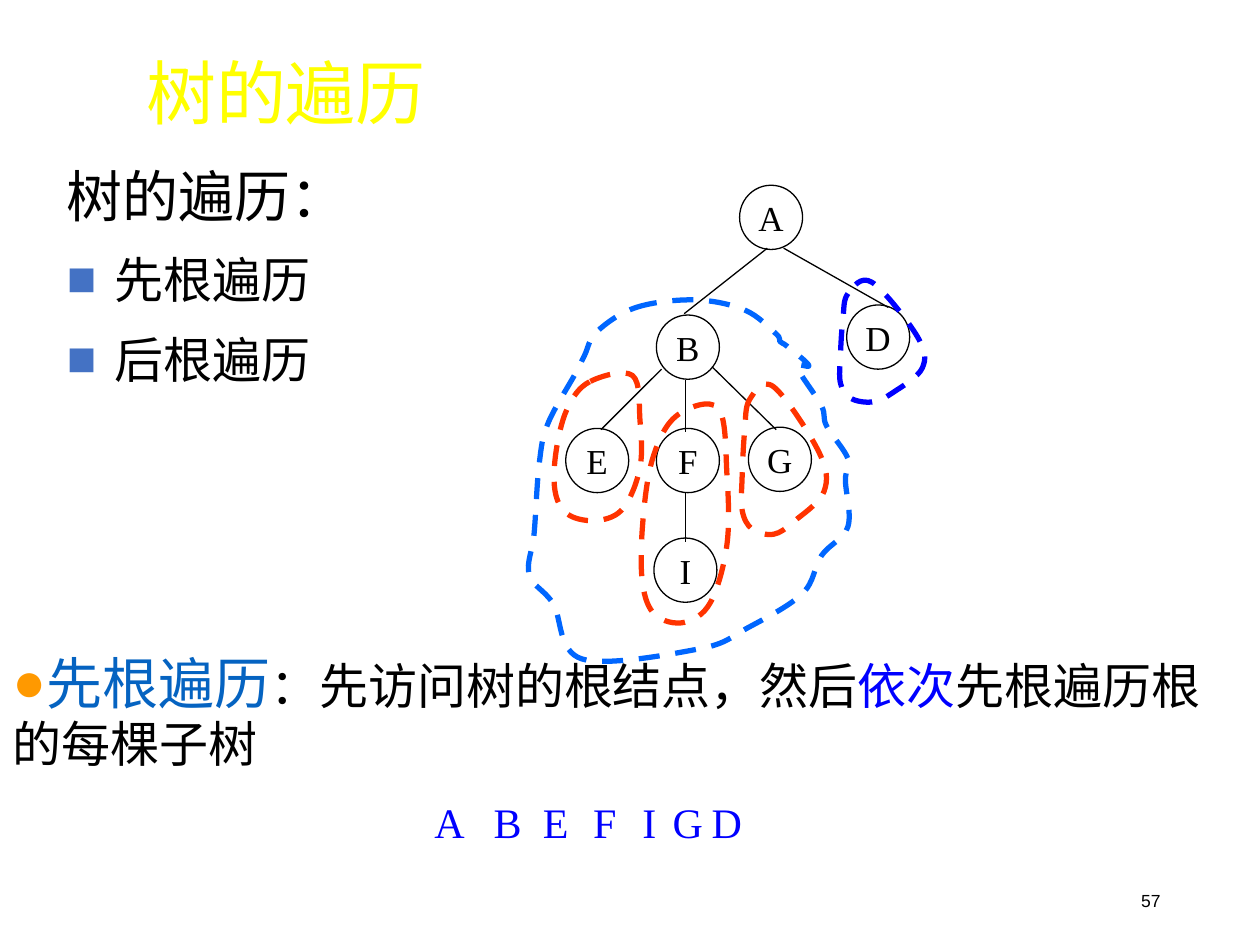
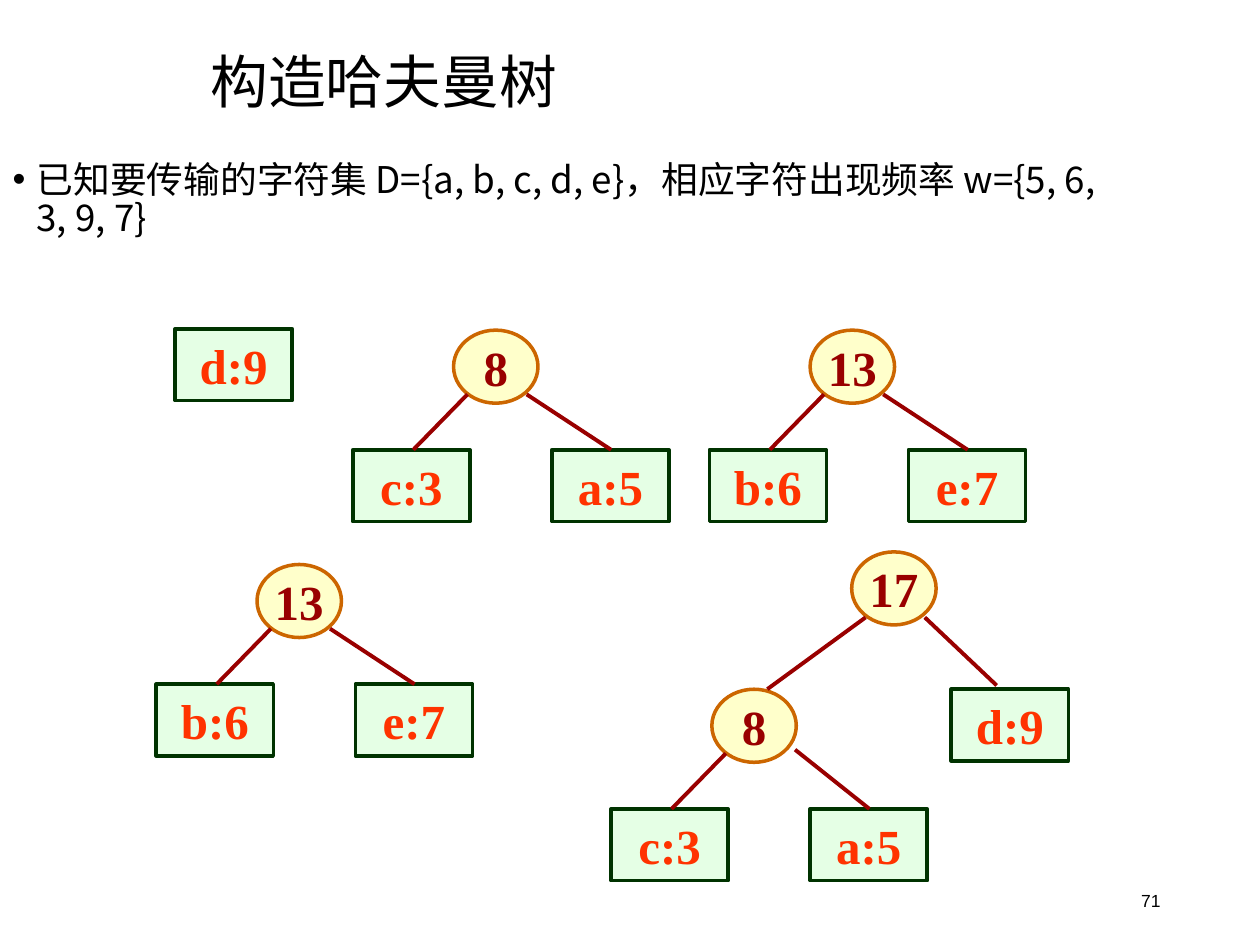
import pptx
import pptx.dml.color
import pptx.enum.shapes
import pptx.enum.dml
import pptx.enum.text
import pptx.oxml.ns
import pptx.util
from lxml import etree

Inches, Pt = pptx.util.Inches, pptx.util.Pt
RGBColor = pptx.dml.color.RGBColor
MSO_SHAPE = pptx.enum.shapes.MSO_SHAPE
ANCHOR = pptx.enum.text.MSO_ANCHOR
ALIGN = pptx.enum.text.PP_ALIGN
qn = pptx.oxml.ns.qn

# Shared look
CJK, SERIF, SANS = "Noto Sans CJK SC", "Times New Roman", "Arial"
BLACK = RGBColor(0x00, 0x00, 0x00)
WHITE = RGBColor(0xFF, 0xFF, 0xFF)
YELLOW = RGBColor(0xFF, 0xFF, 0x00)
BLUE = RGBColor(0x00, 0x00, 0xFF)
LOOP_BLUE = RGBColor(0x00, 0x66, 0xFF)
LINK_BLUE = RGBColor(0x05, 0x63, 0xC1)
BULLET_BLUE = RGBColor(0x44, 0x72, 0xC4)
ORANGE = RGBColor(0xFF, 0x99, 0x00)
RED = RGBColor(0xFF, 0x33, 0x00)
LEAF_FILL = RGBColor(0xCC, 0xFF, 0xCC)
LEAF_LINE = RGBColor(0x00, 0x33, 0x00)
ROOT_FILL = RGBColor(0xFF, 0xFF, 0x99)
ROOT_LINE = RGBColor(0xCC, 0x66, 0x00)
DARK_RED = RGBColor(0x99, 0x00, 0x00)

# General tree: node corners and edges
NODES = {"A": (5.87, 1.47), "B": (5.21, 2.5), "D": (6.72, 2.42), "E": (4.49, 3.4),
         "F": (5.21, 3.4), "G": (5.94, 3.39), "I": (5.19, 4.27)}
EDGES = [(6.22, 1.97, 7.05, 2.44), (6.09, 1.97, 5.43, 2.49), (5.44, 3.02, 5.44, 3.43),
         (5.25, 2.93, 4.77, 3.41), (5.65, 2.91, 6.16, 3.41), (5.44, 3.91, 5.44, 4.3)]

# Outlines around the subtrees
LOOP_B = [(5.05, 2.44), (5.51, 2.38), (5.91, 2.46), (6.16, 2.65), (6.19, 2.71),
          (6.25, 2.75), (6.42, 2.9), (6.33, 2.92), (6.52, 3.22), (6.56, 3.38),
          (6.73, 3.64), (6.71, 3.81), (6.73, 4.18), (6.52, 4.41), (6.37, 4.71),
          (5.94, 4.98), (5.55, 5.15), (4.62, 5.23), (4.39, 4.79), (4.2, 4.56),
          (4.24, 4.23), (4.28, 3.68), (4.35, 3.36), (4.57, 2.96), (4.64, 2.82),
          (4.74, 2.63)]
LOOP_E = [(4.68, 3.03), (4.5, 3.25), (4.41, 3.61), (4.41, 3.92), (4.52, 4.09),
          (4.75, 4.13), (4.95, 4.03), (5.08, 3.71), (5.08, 3.34), (5.02, 2.98)]
LOOP_G = [(5.95, 3.17), (5.91, 3.42), (5.89, 3.78), (5.89, 4.05), (5.97, 4.2),
          (6.14, 4.24), (6.3, 4.14), (6.54, 3.9), (6.5, 3.59), (6.14, 3.07)]
LOOP_F = [(5.37, 3.3), (5.18, 3.64), (5.1, 4.17), (5.1, 4.63), (5.2, 4.88),
          (5.43, 4.94), (5.64, 4.78), (5.77, 4.32), (5.77, 3.77), (5.7, 3.24)]
LOOP_D = [(6.73, 2.33), (6.69, 2.53), (6.67, 2.82), (6.67, 3.04), (6.75, 3.16),
          (6.92, 3.19), (7.08, 3.12), (7.32, 2.92), (7.28, 2.67), (6.92, 2.24)]

# Preorder result: letter, left, width
PREORDER = [("A", 3.35, 0.44), ("B", 3.82, 0.42), ("E", 4.21, 0.4), ("F", 4.61, 0.39),
            ("I", 5, 0.31), ("G", 5.24, 0.55), ("D", 5.55, 0.44)]


def add_run(p, text, size=20, font=CJK, color=BLACK, bold=False):
    r = p.add_run()
    r.text = text
    r.font.size, r.font.name, r.font.bold = Pt(size), font, bold
    r.font.color.rgb = color
    etree.SubElement(r._r.get_or_add_rPr(), qn("a:ea")).set("typeface", CJK)
    return r


def format_paragraph(p, bullet=None, bullet_color=BLACK, indent=0, line=None,
                     before=0, after=0, align=ALIGN.LEFT):
    pPr = p._p.get_or_add_pPr()
    pPr.set("marL", str(Inches(indent)))
    pPr.set("indent", str(-Inches(indent)))
    if bullet:
        color = etree.SubElement(etree.SubElement(pPr, qn("a:buClr")), qn("a:srgbClr"))
        color.set("val", str(bullet_color))
        etree.SubElement(pPr, qn("a:buFont")).set("typeface", SANS)
        etree.SubElement(pPr, qn("a:buChar")).set("char", bullet)
    else:
        etree.SubElement(pPr, qn("a:buNone"))
    p.alignment = align
    p.space_before, p.space_after = Pt(before), Pt(after)
    if line:
        p.line_spacing = Pt(line)


def prepare_frame(sp, anchor=ANCHOR.TOP, top=0.05, wrap=True):
    tf = sp.text_frame
    tf.auto_size = pptx.enum.text.MSO_AUTO_SIZE.NONE
    tf.word_wrap, tf.vertical_anchor = wrap, anchor
    tf.margin_top = Inches(top)
    return tf


def place(sp, x, y, w, h):
    sp.left, sp.top, sp.width, sp.height = map(Inches, (x, y, w, h))


def add_label(slide, text, x, y, w, h, anchor=ANCHOR.TOP, align=ALIGN.LEFT, **style):
    sp = slide.shapes.add_textbox(*map(Inches, (x, y, w, h)))
    p = prepare_frame(sp, anchor).paragraphs[0]
    p.alignment = align
    add_run(p, text, **style)


def add_node(slide, kind, text, x, y, w, h, line, line_width, fill=None, **style):
    sp = slide.shapes.add_shape(kind, *map(Inches, (x, y, w, h)))
    sp.shadow.inherit = False
    sp.line.color.rgb, sp.line.width = line, Pt(line_width)
    if fill is None:
        sp.fill.background()
    else:
        sp.fill.solid()
        sp.fill.fore_color.rgb = fill
        color = sp._element.spPr.find(qn("a:solidFill")).find(qn("a:srgbClr"))
        etree.SubElement(color, qn("a:alpha")).set("val", "50000")
    p = prepare_frame(sp, ANCHOR.MIDDLE, wrap=False).paragraphs[0]
    p.alignment = ALIGN.CENTER
    add_run(p, text, font=SERIF, **style)


def add_edge(slide, x1, y1, x2, y2, color=BLACK, width=0.75):
    line = slide.shapes.add_connector(pptx.enum.shapes.MSO_CONNECTOR.STRAIGHT,
                                      *map(Inches, (x1, y1, x2, y2)))
    line.line.color.rgb, line.line.width = color, Pt(width)
    etree.SubElement(line._element.spPr, qn("a:effectLst"))


def curve_segments(sp, knots):
    """Turn each straight segment into a Bezier curve that is smooth at the knots."""
    for i, segment in enumerate(list(sp._element.iter(qn("a:lnTo")))):
        a, b, c, d = (knots[(i + k) % len(knots)] for k in (-1, 0, 1, 2))
        controls = [[q + (r - p) / 6 for p, q, r in zip(a, b, c)],
                    [r - (s - q) / 6 for q, r, s in zip(b, c, d)], c]
        curve = etree.Element(qn("a:cubicBezTo"))
        for x, y in controls:
            pt = etree.SubElement(curve, qn("a:pt"))
            pt.set("x", str(round(x - sp.left)))
            pt.set("y", str(round(y - sp.top)))
        segment.getparent().replace(segment, curve)


def add_loop(slide, points, color):
    knots = [(Inches(x), Inches(y)) for x, y in points]
    builder = slide.shapes.build_freeform(*knots[0])
    builder.add_line_segments(knots[1:] + knots[:1], close=True)
    sp = builder.convert_to_shape()
    curve_segments(sp, knots)
    sp.shadow.inherit = False
    sp.fill.background()
    sp.line.color.rgb, sp.line.width = color, Pt(3)
    sp.line.dash_style = pptx.enum.dml.MSO_LINE.DASH


def add_base_slide(prs, title, number, x, size, color=BLACK, **frame):
    slide = prs.slides.add_slide(prs.slide_layouts[1])
    sp = slide.shapes.title
    place(sp, x, 0.35, 8.43, 0.65)
    p = prepare_frame(sp, **frame).paragraphs[0]
    format_paragraph(p, line=round(size * 1.03))
    add_run(p, title, size=size, color=color)
    add_label(slide, number, 7.06, 6.95, 2.25, 0.4, anchor=ANCHOR.MIDDLE,
              align=ALIGN.RIGHT, size=10, font=SANS)
    return slide


def add_leaf(slide, text, x, y):
    add_node(slide, MSO_SHAPE.RECTANGLE, text, x, y, 0.93, 0.57, LEAF_LINE, 2,
             fill=LEAF_FILL, size=28, color=RED, bold=True)


def add_root(slide, text, x, y):
    add_node(slide, MSO_SHAPE.OVAL, text, x, y, 0.67, 0.58, ROOT_LINE, 2,
             fill=ROOT_FILL, size=28, color=DARK_RED, bold=True)


def add_branch(slide, x1, y1, x2, y2):
    add_edge(slide, x1, y1, x2, y2, color=DARK_RED, width=2.25)


def add_huffman_tree(slide, x, y, root, left, right, right_start=(0.58, 0.51)):
    add_leaf(slide, right, x + 0.78, y + 0.95)
    add_leaf(slide, left, x - 0.8, y + 0.95)
    add_root(slide, root, x, y)
    add_branch(slide, x + 0.11, y + 0.51, x - 0.32, y + 0.95)
    add_branch(slide, x + right_start[0], y + right_start[1], x + 1.25, y + 0.95)


def add_preorder_rule(slide):
    sp = slide.shapes.add_shape(MSO_SHAPE.RECTANGLE, *map(Inches, (0, 5.09, 10, 1.1)))
    sp.shadow.inherit = False
    sp.fill.solid()
    sp.fill.fore_color.rgb = WHITE
    sp.line.fill.background()
    p = prepare_frame(sp, top=0.14).paragraphs[0]
    format_paragraph(p, bullet="●", bullet_color=ORANGE, line=32.5)
    add_run(p, "先根遍历", size=32, font=SANS, color=LINK_BLUE)
    for text, color in [("：先访问树的根结点，然后", BLACK), ("依次", BLUE),
                        ("先根遍历根 的每棵子树", BLACK)]:
        add_run(p, text, size=28, font=SANS, color=color)


def add_preorder_letters(slide, letters):
    for letter, x, w in letters:
        add_label(slide, letter, x, 6.27, w, 0.5, size=24, font=SERIF, color=BLUE)


def build_traversal_slide(prs):
    slide = add_base_slide(prs, "树的遍历", "57", 1.06, 40, color=YELLOW, top=0.14)

    # List of traversals
    body = slide.placeholders[1]
    place(body, 0.43, 1.23, 3.06, 2.99)
    tf = prepare_frame(body)
    p = tf.paragraphs[0]
    format_paragraph(p, indent=0.38, line=38.4, after=6)
    add_run(p, "树的遍历：", size=32)
    for text in ("先根遍历", "后根遍历"):
        p = tf.add_paragraph()
        format_paragraph(p, bullet="■", bullet_color=BULLET_BLUE, indent=0.38,
                         line=33.6, before=6, after=6)
        add_run(p, text, size=28)

    # Rule and its result, the last letter on top
    add_preorder_letters(slide, PREORDER[:-1])
    add_preorder_rule(slide)
    add_preorder_letters(slide, PREORDER[-1:])

    # Tree with its subtrees outlined
    for name, (x, y) in NODES.items():
        add_node(slide, MSO_SHAPE.OVAL, name, x, y, 0.5, 0.51, BLACK, 0.75)
    for edge in EDGES:
        add_edge(slide, *edge)
    for loop, color in [(LOOP_B, LOOP_BLUE), (LOOP_E, RED), (LOOP_G, RED),
                        (LOOP_F, RED), (LOOP_D, BLUE)]:
        add_loop(slide, loop, color)


def build_huffman_slide(prs):
    slide = add_base_slide(prs, "构造哈夫曼树", "71", 1.57, 33, anchor=ANCHOR.MIDDLE)

    # Problem statement
    body = slide.placeholders[1]
    place(body, 0, 1.23, 8.98, 1.33)
    p = prepare_frame(body, top=0.06).paragraphs[0]
    format_paragraph(p, bullet="•", indent=0.19, line=21.7)
    add_run(p, "已知要传输的字符集 D={a, b, c, d, e}，相应字符出现频率 w={5, 6, 3, 9, 7}",
            size=21)

    # Forest before the merge
    add_leaf(slide, "d:9", 1.39, 2.61)
    add_huffman_tree(slide, 3.6, 2.62, "8", "c:3", "a:5")
    add_huffman_tree(slide, 6.43, 2.62, "13", "b:6", "e:7")

    # Forest after the merge
    add_huffman_tree(slide, 2.04, 4.48, "13", "b:6", "e:7")
    add_huffman_tree(slide, 5.65, 5.47, "8", "c:3", "a:5", right_start=(0.66, 0.48))
    add_leaf(slide, "d:9", 7.55, 5.47)
    add_root(slide, "17", 6.76, 4.38)
    add_branch(slide, 6.87, 4.9, 6.09, 5.47)
    add_branch(slide, 7.34, 4.9, 7.91, 5.44)


def main():
    prs = pptx.Presentation()
    prs.slide_width, prs.slide_height = Inches(10), Inches(7.5)
    build_traversal_slide(prs)
    build_huffman_slide(prs)
    prs.save("out.pptx")


if __name__ == "__main__":
    main()
